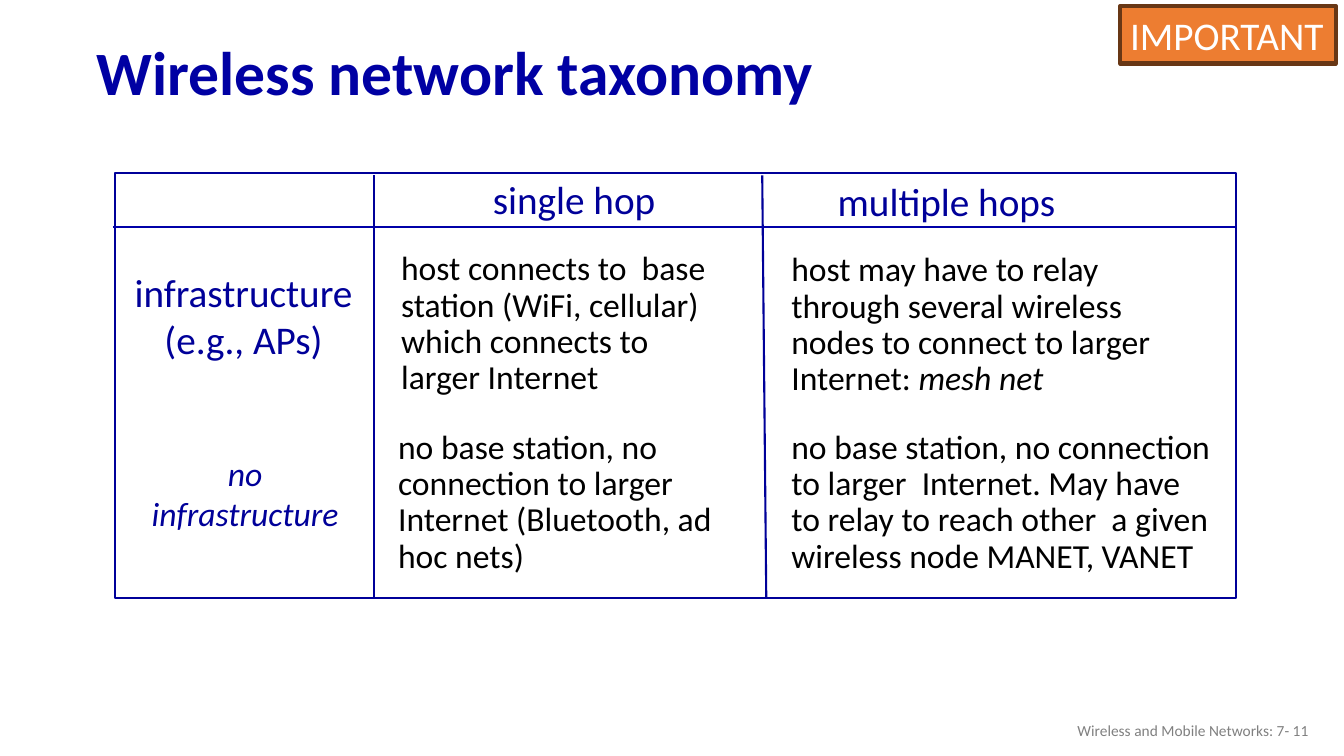
"""Builds the wireless network taxonomy slide."""
import pptx
import pptx.util
import pptx.dml.color
import pptx.enum.shapes
import pptx.enum.text
import pptx.oxml

Inches, Pt = pptx.util.Inches, pptx.util.Pt
RGB = pptx.dml.color.RGBColor.from_string
Align, Anchor = pptx.enum.text.PP_ALIGN, pptx.enum.text.MSO_ANCHOR
Fit = pptx.enum.text.MSO_AUTO_SIZE
RECT = pptx.enum.shapes.MSO_SHAPE.RECTANGLE
LINE = pptx.enum.shapes.MSO_CONNECTOR.STRAIGHT

COLOR = {"title": "0000A3", "navy": "000099", "rule": "0000A8", "black": "000000",
         "gray": "808080", "white": "FFFFFF", "orange": "ED7D31", "brown": "683715"}

deck = pptx.Presentation()
deck.slide_width, deck.slide_height = Inches(13.33), Inches(7.5)
slide = deck.slides.add_slide(deck.slide_layouts[6])
shapes = slide.shapes


def write(shape, text, size, color, wrap=False, align=Align.LEFT, space=1.0,
          anchor=Anchor.TOP, fit=Fit.SHAPE_TO_FIT_TEXT):
    frame = shape.text_frame
    frame.text = text
    frame.word_wrap = wrap
    frame.auto_size = fit
    frame.vertical_anchor = anchor
    for para in frame.paragraphs:
        para.alignment = align
        para.line_spacing = space
        for run in para.runs:
            run.font.name = "Calibri"
            run.font.size = Pt(size)
            run.font.color.rgb = RGB(COLOR[color])
    return frame


def box(left, top, width, height):
    return shapes.add_textbox(Inches(left), Inches(top), Inches(width), Inches(height))


title = write(box(0.86, 0.26, 11.5, 0.98), "Wireless network taxonomy", 44, "title",
              wrap=True, space=0.9, anchor=Anchor.MIDDLE, fit=Fit.NONE)
title.paragraphs[0].runs[0].font.bold = True
write(box(10.08, 7.05, 3, 0.4), "Wireless and Mobile Networks: 7- 11", 11, "gray",
      wrap=True, align=Align.RIGHT, anchor=Anchor.MIDDLE, fit=Fit.NONE)

write(box(4.79, 1.69, 1.83, 0.57), "single hop", 28, "navy")
write(box(8.21, 1.71, 2.39, 0.57), "multiple hops", 28, "navy")
write(box(1.22, 2.61, 2.39, 1.04), "infrastructure\n(e.g., APs)", 28, "navy",
      align=Align.CENTER)
without = write(box(1.39, 4.44, 2.08, 0.91), "no\ninfrastructure", 24, "navy",
                align=Align.CENTER)
for para in without.paragraphs:
    para.runs[0].font.italic = True

cells = [
    (3.88, 2.45, 3.31, "host connects to  base station (WiFi, cellular) "
     "which connects to  larger Internet"),
    (3.85, 4.22, 3.68, "no base station, no connection to larger  Internet "
     "(Bluetooth, ad hoc nets)"),
    (7.75, 4.22, 4.38, "no base station, no connection to larger  Internet. May have "
     "to relay to reach other  a given wireless node MANET, VANET"),
    (7.75, 2.46, 4.18, "host may have to relay through several wireless nodes "
     "to connect to larger\nInternet: "),
]
for left, top, width, text in cells:
    cell = write(box(left, top, width, 1.56), text, 24, "black", wrap=True, space=0.9)

mesh = cell.paragraphs[-1].add_run()
mesh.text = "mesh net"
mesh.font.name = "Calibri"
mesh.font.size = Pt(24)
mesh.font.color.rgb = RGB(COLOR["black"])
mesh.font.italic = True

frame = shapes.add_shape(RECT, Inches(1.14), Inches(1.72), Inches(11.12), Inches(4.21))
frame.shadow.inherit = False
frame.fill.background()
frame.line.color.rgb = RGB(COLOR["navy"])
frame.line.width = Pt(1.5)

rules = [(3.71, 1.74, 3.71, 5.92, "navy", 1.5),
         (7.56, 1.74, 7.6, 5.94, "navy", 1.5),
         (1.12, 2.25, 12.26, 2.25, "rule", 1.75)]
for x1, y1, x2, y2, color, weight in rules:
    rule = shapes.add_connector(LINE, Inches(x1), Inches(y1), Inches(x2), Inches(y2))
    rule.line.color.rgb = RGB(COLOR[color])
    rule.line.width = Pt(weight)
    rule._element.spPr.append(pptx.oxml.parse_xml(
        '<a:effectLst xmlns:a="http://schemas.openxmlformats.org/drawingml/2006/main"/>'))

badge = shapes.add_shape(RECT, Inches(11.11), Inches(0.06), Inches(2.14), Inches(0.57))
badge.shadow.inherit = False
badge.fill.solid()
badge.fill.fore_color.rgb = RGB(COLOR["orange"])
badge.line.color.rgb = RGB(COLOR["brown"])
badge.line.width = Pt(3)
write(badge, "IMPORTANT", 28, "white")

deck.save("out.pptx")
